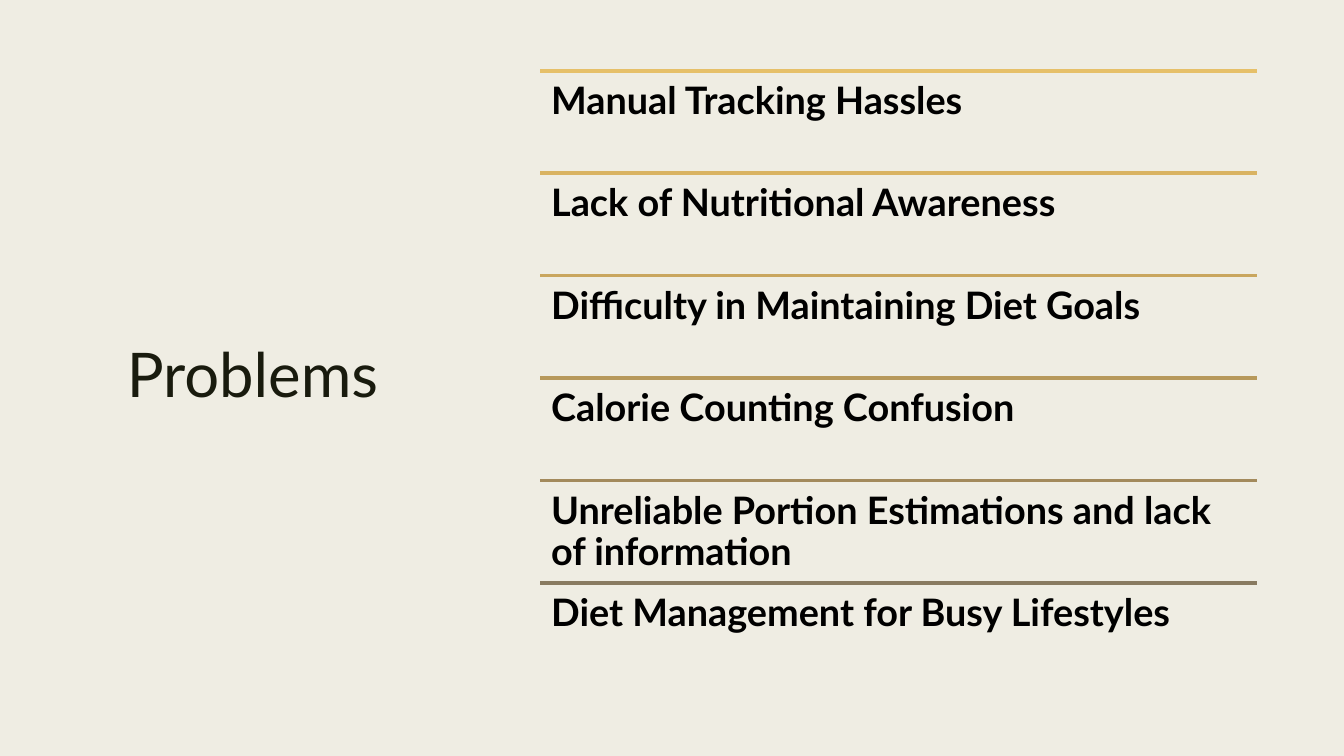
import pptx
import pptx.dml.color
import pptx.enum.shapes
import pptx.enum.text
import pptx.util
from pptx.dml.color import RGBColor
from pptx.util import Cm
import lxml.etree

BACKGROUND = RGBColor(0xEF, 0xED, 0xE3)
TITLE_COLOR = RGBColor(0x19, 0x1B, 0x0E)
BLACK = RGBColor(0x00, 0x00, 0x00)

PROBLEMS = [
    ("Manual Tracking Hassles", RGBColor(0xE6, 0xC0, 0x69)),
    ("Lack of Nutritional Awareness", RGBColor(0xD9, 0xB3, 0x62)),
    ("Difficulty in Maintaining Diet Goals", RGBColor(0xC9, 0xA6, 0x5E)),
    ("Calorie Counting Confusion", RGBColor(0xB7, 0x99, 0x5B)),
    ("Unreliable Portion Estimations and lack of information",
     RGBColor(0xA3, 0x8A, 0x5C)),
    ("Diet Management for Busy Lifestyles", RGBColor(0x89, 0x7B, 0x61)),
]

TOP = 1.78
HEIGHT = 15.49
LIST_LEFT = 13.61
LIST_WIDTH = 18.08


def write_text(tf, text, *, size, color, bold=False, spacing=0.9,
               align=pptx.enum.text.PP_ALIGN.LEFT,
               anchor=pptx.enum.text.MSO_ANCHOR.TOP, inset=0.28):
    tf.word_wrap = True
    tf.auto_size = pptx.enum.text.MSO_AUTO_SIZE.NONE
    tf.vertical_anchor = anchor
    tf.margin_left = tf.margin_right = Cm(inset)
    tf.margin_top = tf.margin_bottom = Cm(inset)
    p = tf.paragraphs[0]
    p.alignment = align
    p.line_spacing = spacing
    r = p.add_run()
    r.text = text
    r.font.name = "Lato"
    r.font.size = pptx.util.Pt(size)
    r.font.bold = bold
    r.font.color.rgb = color


class SlideBuilder:
    def __init__(self, prs):
        self.s = prs.slides.add_slide(prs.slide_layouts[5])
        fill = self.s.background.fill
        fill.solid()
        fill.fore_color.rgb = BACKGROUND

    def title(self, text, left, top, width, height):
        sp = self.s.shapes.title
        sp.left, sp.top = Cm(left), Cm(top)
        sp.width, sp.height = Cm(width), Cm(height)
        write_text(sp.text_frame, text, size=44, color=TITLE_COLOR,
                   align=pptx.enum.text.PP_ALIGN.CENTER,
                   anchor=pptx.enum.text.MSO_ANCHOR.MIDDLE, inset=0.25)

    def rule(self, left, top, width, color):
        line = self.s.shapes.add_connector(
            pptx.enum.shapes.MSO_CONNECTOR.STRAIGHT,
            Cm(left), Cm(top), Cm(left + width), Cm(top))
        line.line.color.rgb = color
        line.line.width = pptx.util.Pt(2.75)
        lxml.etree.SubElement(line._element.spPr,
                              pptx.oxml.ns.qn("a:effectLst"))

    def item(self, text, left, top, width, height):
        sp = self.s.shapes.add_textbox(Cm(left), Cm(top), Cm(width), Cm(height))
        write_text(sp.text_frame, text, size=27, color=BLACK, bold=True)


def main():
    prs = pptx.Presentation()
    prs.slide_width = Cm(33.87)
    prs.slide_height = Cm(19.05)
    slide = SlideBuilder(prs)
    slide.title("Problems", TOP, TOP, 9.17, HEIGHT)
    row = HEIGHT / len(PROBLEMS)
    for i, (text, color) in enumerate(PROBLEMS):
        top = TOP + i * row
        slide.rule(LIST_LEFT, top, LIST_WIDTH, color)
        slide.item(text, LIST_LEFT, top, LIST_WIDTH, row)
    prs.save("out.pptx")


if __name__ == "__main__":
    main()
